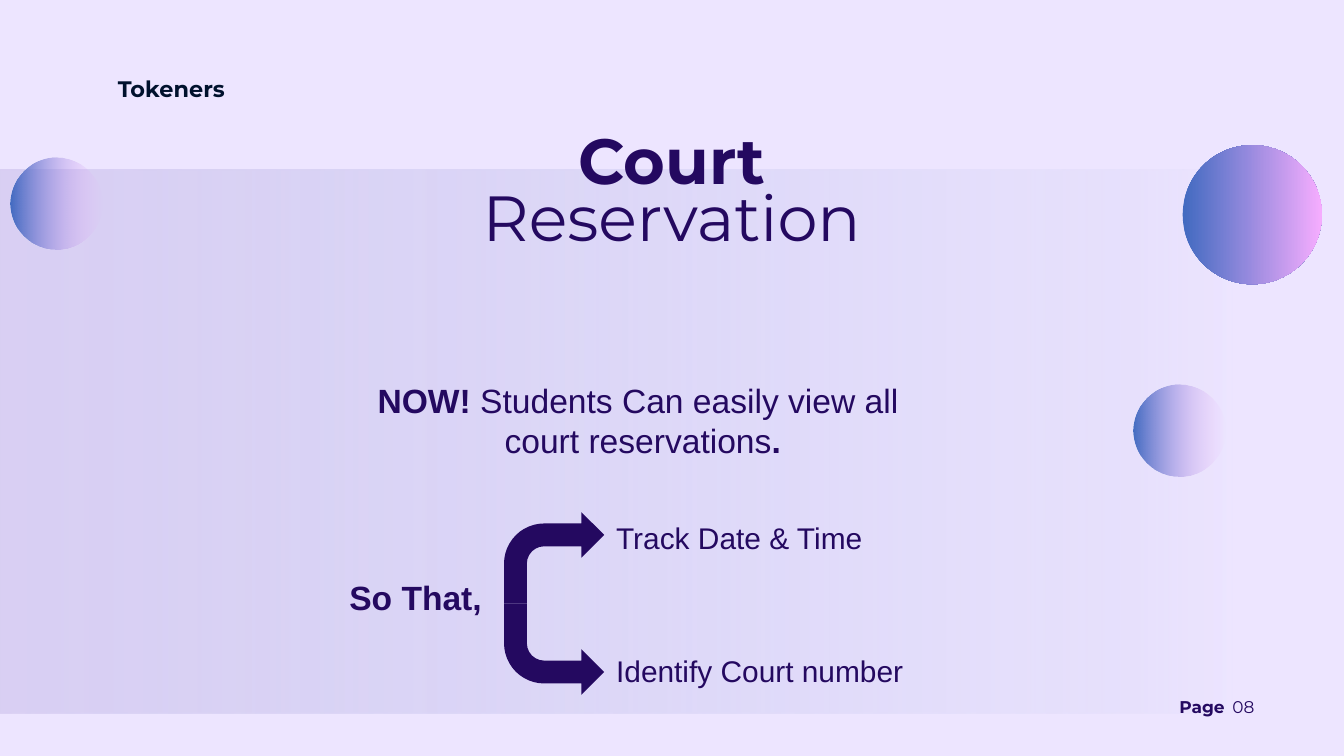
import pptx
import pptx.dml.color
import pptx.enum.shapes
import pptx.enum.text
import pptx.oxml
import pptx.oxml.ns
import pptx.util
from pptx.util import Inches

SHAPES = pptx.enum.shapes.MSO_SHAPE
CENTER = pptx.enum.text.PP_ALIGN.CENTER
LEFT = pptx.enum.text.PP_ALIGN.LEFT
PURPLE, NAVY, LAVENDER = "240960", "00112D", "EDE5FF"
HEADING, BODY = "Montserrat", "Arial"

# Content: gradient stops are (position %, colour, opacity %)
PANEL = ((0, 2.52, 18.34, 8.1),
         [(0, "D9CFF3", 100), (83, "C7C9F0", 18), (100, LAVENDER, 39)])
# Circles: left, top, diameter, opacity at the right edge
CIRCLES = [(16.87, 5.72, 1.37, 0), (17.6, 2.16, 2.07, 96), (0.16, 2.35, 1.37, 0)]

# Headings: place, runs (text, bold), size, colour, alignment, line spacing
TITLE = ((6, 2.02, 8, 0.84), [("Court", True)], 68.3, PURPLE, CENTER, 0.8)
HEADINGS = [
    ((6.57, 2.86, 6.85, 0.92), [("Reservation", False)], 68.3, PURPLE, CENTER, 0.8),
    ((1.52, 0.61, 2.06, 0.66), [("Tokeners", True)], 24, NAVY, CENTER, 2.28),
    ((17.55, 10.36, 0.79, 0.31), [("Page", True)], 18.2, PURPLE, LEFT, 1.02),
    ((18.34, 10.36, 0.39, 0.31), [("08", False)], 18.2, PURPLE, LEFT, 1.02),
]
# Body texts: place, paragraphs of runs (text, bold), size, alignment
BODY_TEXTS = [
    ((3.38, 5.6, 12.37, 1.31),
     [[("NOW! ", True), ("Students Can easily view all ", False)],
      [("court reservations", False), (".", True)]], 36, CENTER),
    ((5.1, 8.53, 2.62, 0.71), [[("So That,", True)]], 36, LEFT),
    ((9.07, 7.68, 3.9, 0.64), [[("Track Date & Time", False)]], 32, LEFT),
    ((9.07, 9.66, 4.51, 0.64), [[("Identify Court number", False)]], 32, LEFT),
]
ARROW_LEFT, ARROW_TOP, ARROW_WIDTH, ARROW_HEIGHT = 7.5, 7.62, 1.49, 1.36


def colour(value):
    return pptx.dml.color.RGBColor.from_string(value)


def add_shape(slide, kind, place):
    shape = slide.shapes.add_shape(kind, *map(Inches, place))
    shape.shadow.inherit = False
    shape.line.fill.background()
    return shape


def fill_gradient(shape, stops):
    shape.fill.gradient()
    shape.fill.gradient_angle = 0
    stop_list = shape.element.spPr.find(".//" + pptx.oxml.ns.qn("a:gsLst"))
    for stop in list(stop_list):
        stop_list.remove(stop)
    for position, value, opacity in stops:
        stop_list.append(pptx.oxml.parse_xml(
            f'<a:gs {pptx.oxml.ns.nsdecls("a")} pos="{position * 1000}">'
            f'<a:srgbClr val="{value}"><a:alpha val="{opacity * 1000}"/>'
            f'</a:srgbClr></a:gs>'))


def write(box, place, paragraphs, size, font, value, align, spacing=1.0, margins=(0, 0)):
    box.left, box.top, box.width, box.height = map(Inches, place)
    frame = box.text_frame
    frame.word_wrap = True
    frame.auto_size = pptx.enum.text.MSO_AUTO_SIZE.NONE
    frame.vertical_anchor = pptx.enum.text.MSO_ANCHOR.TOP
    frame.margin_left = frame.margin_right = Inches(margins[0])
    frame.margin_top = frame.margin_bottom = Inches(margins[1])
    for index, runs in enumerate(paragraphs):
        para = frame.add_paragraph() if index else frame.paragraphs[0]
        para.alignment = align
        para.line_spacing = spacing
        para.space_before = pptx.util.Pt(0)
        for text, bold in runs:
            span = para.add_run()
            span.text = text
            span.font.name = font
            span.font.size = pptx.util.Pt(size)
            span.font.bold = bold
            span.font.color.rgb = colour(value)


def write_heading(box, heading):
    place, runs, size, value, align, spacing = heading
    write(box, place, [runs], size, HEADING, value, align, spacing)


def add_box(slide):
    return slide.shapes.add_textbox(0, 0, Inches(1), Inches(1))


def main():
    deck = pptx.Presentation()
    deck.slide_width, deck.slide_height = Inches(20), Inches(11.25)
    page = deck.slides.add_slide(deck.slide_layouts[5])
    page.background.fill.solid()
    page.background.fill.fore_color.rgb = colour(LAVENDER)

    # Background panel, kept behind the title
    place, stops = PANEL
    panel = add_shape(page, SHAPES.RECTANGLE, place)
    fill_gradient(panel, stops)
    page.shapes.title.element.addprevious(panel.element)

    # Circles
    for left, top, diameter, opacity in CIRCLES:
        circle = add_shape(page, SHAPES.OVAL, (left, top, diameter, diameter))
        fill_gradient(circle, [(0, "3C67BF", 96), (100, "F7ACFF", opacity)])

    # Title, headings and body texts
    write_heading(page.shapes.title, TITLE)
    for heading in HEADINGS:
        write_heading(add_box(page), heading)
    for place, paragraphs, size, align in BODY_TEXTS:
        write(add_box(page), place, paragraphs, size, BODY, PURPLE, align,
              margins=(0.1, 0.05))

    # Branching arrows: the lower one mirrors the upper one
    for index in range(2):
        top = ARROW_TOP + index * ARROW_HEIGHT
        arrow = add_shape(page, SHAPES.BENT_ARROW,
                          (ARROW_LEFT, top, ARROW_WIDTH, ARROW_HEIGHT))
        arrow.adjustments[3] = 0.44
        arrow.fill.solid()
        arrow.fill.fore_color.rgb = colour(PURPLE)
        if index:
            arrow.rotation = 180
            arrow.element.spPr.xfrm.set("flipH", "1")

    deck.save("out.pptx")


if __name__ == "__main__":
    main()
